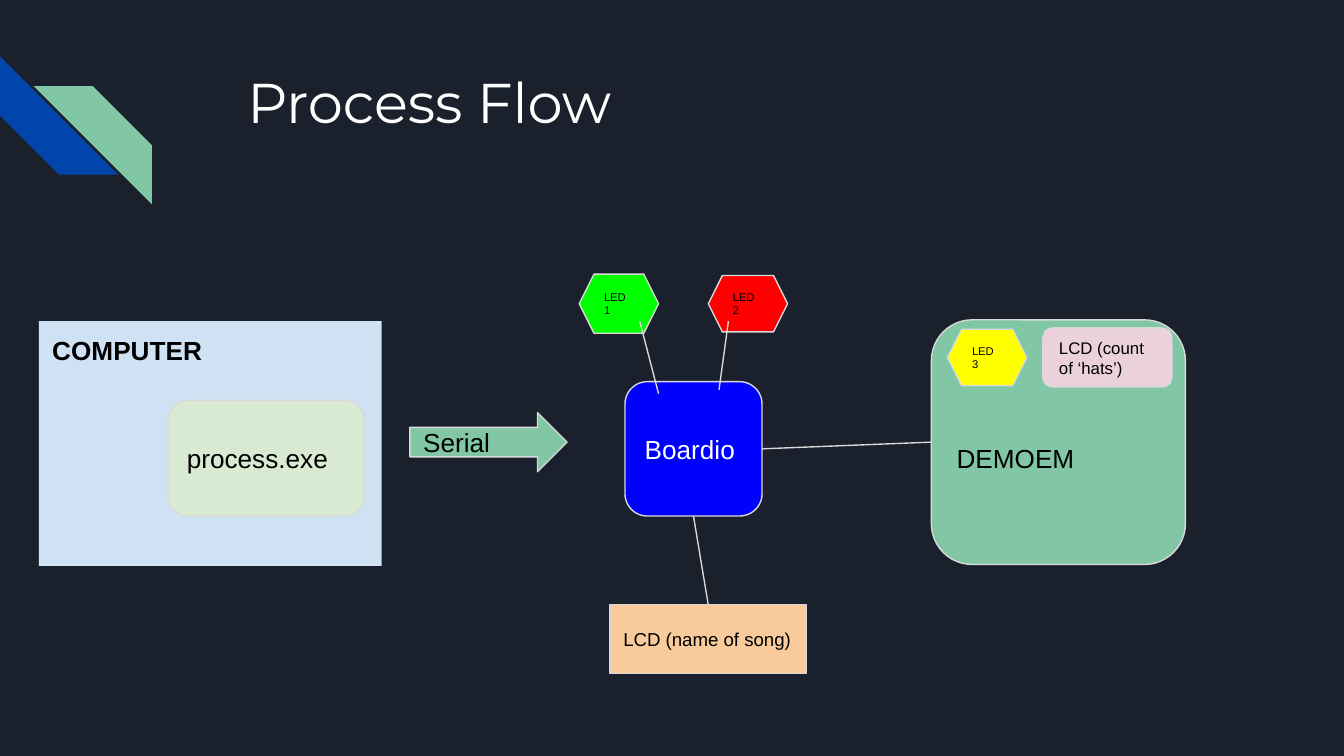
from dataclasses import dataclass

from lxml import etree
from pptx import Presentation
from pptx.dml.color import RGBColor
from pptx.enum import shapes, text
from pptx.oxml import ns
from pptx import util as u

PX = u.Inches(1) // 100
KIND = shapes.MSO_SHAPE
TOP, LEFT, BOTTOM, RIGHT = range(4)


@dataclass(frozen=True)
class Theme:
    """Colours, fonts and type sizes of the slide."""
    background: str = "1B212C"
    blue: str = "0145AC"
    green: str = "82C7A5"
    outline: str = "D9D9D9"
    computer: str = "CFE2F3"
    program: str = "D9EAD3"
    board: str = "0000FF"
    song: str = "F9CB9C"
    count: str = "EAD1DC"
    led_green: str = "00FF00"
    led_red: str = "FF0000"
    led_yellow: str = "FFFF00"
    dark: str = "000000"
    light: str = "FFFFFF"
    title_font: str = "Montserrat"
    body_font: str = "Arial"
    title: int = 30
    label: int = 14
    song_label: int = 10
    count_label: int = 9
    led_label: int = 6


THEME = Theme()


def rgb(value):
    """Turn a hex string into a colour."""
    return RGBColor.from_string(value)


def px(*lengths):
    """Turn px lengths into EMU."""
    return [u.Emu(length * PX) for length in lengths]


def within(box, left, top, width, height):
    """Place a box relative to the corner of another."""
    return box[0] + left, box[1] + top, width, height


def write(shape, words, size, color, font=THEME.body_font, bold=False,
          anchor=text.MSO_ANCHOR.MIDDLE, top_inset=10):
    """Write one left-aligned run into a shape."""
    frame = shape.text_frame
    frame.word_wrap = True
    frame.auto_size = text.MSO_AUTO_SIZE.NONE
    frame.vertical_anchor = anchor
    frame.margin_left, frame.margin_top, frame.margin_right, frame.margin_bottom = px(
        10, top_inset, 10, 10)
    paragraph = frame.paragraphs[0]
    paragraph.alignment = text.PP_ALIGN.LEFT
    run = paragraph.add_run()
    run.text = words
    run.font.name, run.font.size, run.font.bold = font, u.Pt(size), bold
    run.font.color.rgb = rgb(color)


def add_block(slide, kind, box, fill, outlined=True):
    """Add a filled shape, outlined or not."""
    shape = slide.shapes.add_shape(kind, *px(*box))
    shape.shadow.inherit = False
    shape.fill.solid()
    shape.fill.fore_color.rgb = rgb(fill)
    if outlined:
        shape.line.color.rgb = rgb(THEME.outline)
        shape.line.width = u.Pt(0.75)
    else:
        shape.line.fill.background()
    return shape


def add_line(slide, start=(0, 0), end=(0, 0)):
    """Add a thin straight connector."""
    line = slide.shapes.add_connector(
        shapes.MSO_CONNECTOR.STRAIGHT, *px(*start, *end))
    line.line.color.rgb = rgb(THEME.outline)
    line.line.width = u.Pt(0.75)
    etree.SubElement(line._element.spPr, ns.qn("a:effectLst"))
    return line


def join(slide, first, first_side, second, second_side):
    """Glue a connector between the sides of two shapes."""
    line = add_line(slide)
    line.begin_connect(first, first_side)
    line.end_connect(second, second_side)


def add_led(slide, box, number, fill):
    """Add a hexagonal, numbered LED."""
    led = add_block(slide, KIND.HEXAGON, box, fill)
    write(led, f"LED {number}", THEME.led_label, THEME.dark)


def add_stripes(slide, box):
    """Add the two corner stripes."""
    blue = add_block(slide, KIND.DIAGONAL_STRIPE,
                     within(box, 0, 0, 88, 88), THEME.blue, False)
    blue.rotation = 270
    green = add_block(slide, KIND.DIAGONAL_STRIPE,
                      within(box, 25, 22, 88, 88), THEME.green, False)
    green._element.spPr.find(ns.qn("a:xfrm")).set("flipH", "1")


def add_title(slide, box):
    """Move and fill the title placeholder."""
    title = slide.shapes.title
    title.left, title.top, title.width, title.height = px(*box)
    write(title, "Process Flow", THEME.title, THEME.light, THEME.title_font,
          anchor=text.MSO_ANCHOR.TOP)


def add_computer(slide, box):
    """Add the computer, its program and the serial arrow."""
    computer = add_block(slide, KIND.RECTANGLE, box, THEME.computer, False)
    write(computer, "COMPUTER", THEME.label, THEME.dark, bold=True,
          anchor=text.MSO_ANCHOR.TOP)
    program = add_block(slide, KIND.ROUNDED_RECTANGLE,
                        within(box, 96, 59, 146, 86), THEME.program)
    write(program, "process.exe", THEME.label, THEME.dark)
    serial = add_block(slide, KIND.RIGHT_ARROW,
                       within(box, 276, 68, 117, 44), THEME.green)
    write(serial, "Serial", THEME.label, THEME.dark)


def add_controller(slide, box):
    """Add the board with its LEDs and song display, and return the board."""
    board = add_block(slide, KIND.ROUNDED_RECTANGLE,
                      within(box, 34, 80, 102, 100), THEME.board)
    write(board, "Boardio", THEME.label, THEME.light)
    add_led(slide, within(box, 96, 1, 59, 42), 2, THEME.led_red)
    add_led(slide, within(box, 0, 0, 59, 44), 1, THEME.led_green)
    song = add_block(slide, KIND.RECTANGLE,
                     within(box, 23, 246, 146, 51), THEME.song)
    write(song, "LCD (name of song)", THEME.song_label, THEME.dark)
    for board_x, board_y, led_x in ((59, 89, 45), (104, 86, 111)):
        add_line(slide, (box[0] + board_x, box[1] + board_y),
                 (box[0] + led_x, box[1] + 35))
    join(slide, board, BOTTOM, song, TOP)
    return board


def add_device(slide, box):
    """Add the device with its LED and counter, and return its body."""
    device = add_block(slide, KIND.ROUNDED_RECTANGLE, box, THEME.green)
    write(device, "DEMOEM", THEME.label, THEME.dark, top_inset=33)
    count = add_block(slide, KIND.ROUNDED_RECTANGLE,
                      within(box, 83, 6, 96, 44), THEME.count)
    write(count, "LCD (count of ‘hats’)", THEME.count_label, THEME.dark)
    add_led(slide, within(box, 12, 7, 59, 42), 3, THEME.led_yellow)
    return device


def main():
    """Build and save the slide."""
    presentation = Presentation()
    presentation.slide_width = u.Inches(10)
    presentation.slide_height = u.Emu(presentation.slide_width * 9 // 16)
    slide = presentation.slides.add_slide(presentation.slide_layouts[5])
    slide.background.fill.solid()
    slide.background.fill.fore_color.rgb = rgb(THEME.background)
    add_stripes(slide, (0, 42, 113, 110))
    add_title(slide, (174, 40, 425, 100))
    add_computer(slide, (29, 239, 255, 182))
    board = add_controller(slide, (431, 204, 169, 297))
    device = add_device(slide, (693, 238, 189, 182))
    join(slide, board, RIGHT, device, LEFT)
    presentation.save("out.pptx")


if __name__ == "__main__":
    main()
